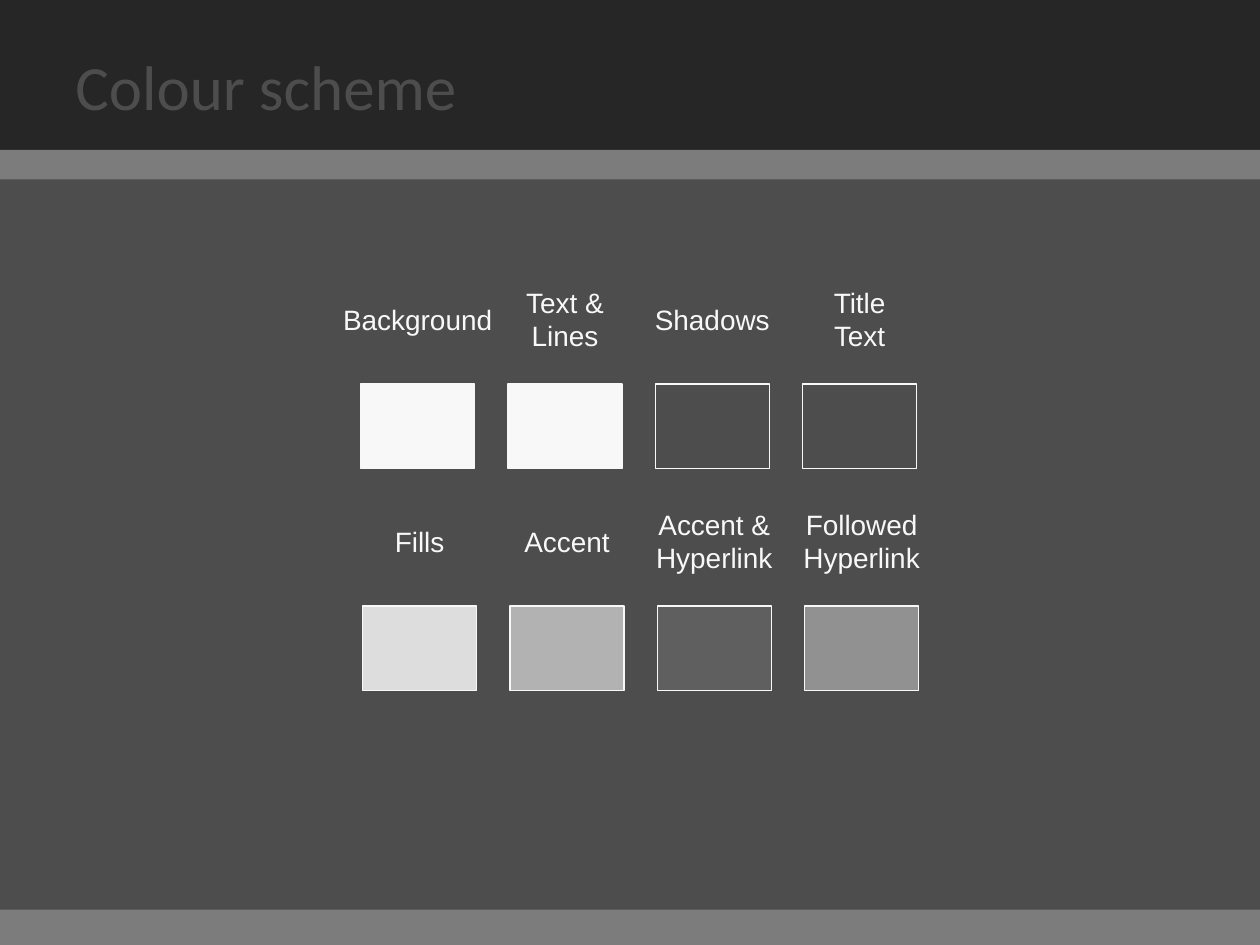
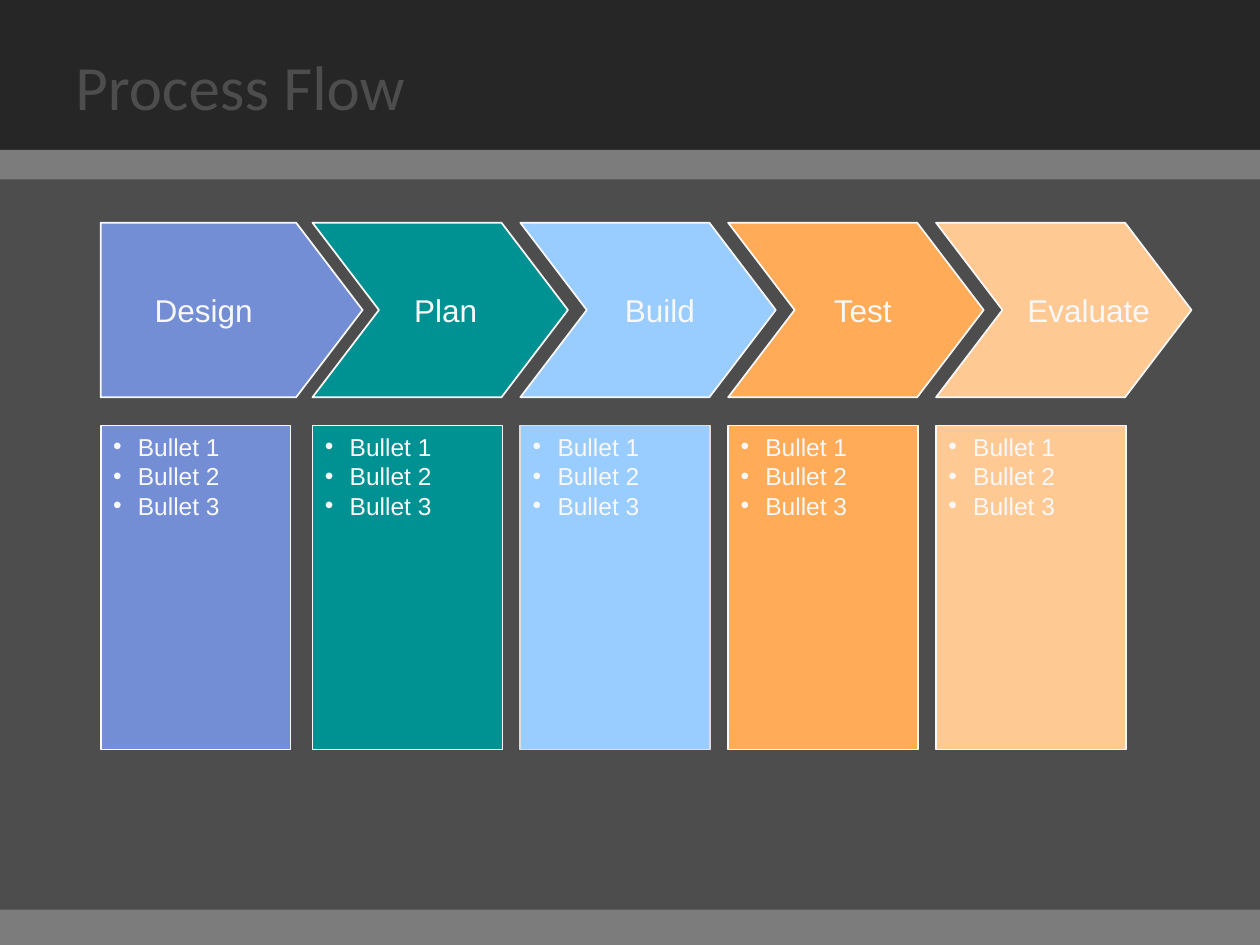
from lxml.etree import SubElement
from pptx import Presentation
from pptx.dml.color import RGBColor
from pptx.enum.shapes import MSO_SHAPE as Shape
from pptx.enum.text import MSO_ANCHOR as Anchor, MSO_AUTO_SIZE as AutoSize, PP_ALIGN as Align
from pptx.oxml.ns import qn
from pptx.util import Cm, Pt

# Shared colours
BACKGROUND = RGBColor(0x4D, 0x4D, 0x4D)
HEADER = RGBColor(0x26, 0x26, 0x26)
BAND = RGBColor(0x7C, 0x7C, 0x7C)
LIGHT = RGBColor(0xF8, 0xF8, 0xF8)
SILVER = RGBColor(0xDD, 0xDD, 0xDD)
GREY = RGBColor(0xB2, 0xB2, 0xB2)
DARK_GREY = RGBColor(0x5F, 0x5F, 0x5F)
MID_GREY = RGBColor(0x91, 0x91, 0x91)
PERIWINKLE = RGBColor(0x74, 0x8E, 0xD6)
TEAL = RGBColor(0x00, 0x91, 0x93)
SKY = RGBColor(0x99, 0xCC, 0xFF)
ORANGE = RGBColor(0xFF, 0xAB, 0x57)
PEACH = RGBColor(0xFF, 0xC9, 0x93)


def style_shape(shape, fill, line=None, width=1.0):
    shape.shadow.inherit = False
    shape.fill.solid()
    shape.fill.fore_color.rgb = fill
    if line is None:
        shape.line.fill.background()
    else:
        shape.line.color.rgb = line
        shape.line.width = Pt(width)


def write_lines(shape, lines, size, align=Align.LEFT, font="Arial", color=LIGHT):
    """Write one paragraph per line; a newline inside one is a line break."""
    frame = shape.text_frame
    for number, line in enumerate(lines):
        paragraph = frame.add_paragraph() if number else frame.paragraphs[0]
        paragraph.alignment = align
        for part_number, part in enumerate(line.split("\n")):
            if part_number:
                paragraph.add_line_break()
            run = paragraph.add_run()
            run.text = part
            run.font.size = Pt(size)
            run.font.name = font
            run.font.color.rgb = color


presentation = Presentation()
presentation.slide_width = Cm(25.4)
presentation.slide_height = Cm(19.05)

# Both slides: background, bands and title
slides = []
for title in ("Colour scheme", "Process Flow"):
    slide = presentation.slides.add_slide(presentation.slide_layouts[6])
    slide.background.fill.solid()
    slide.background.fill.fore_color.rgb = BACKGROUND
    for top, height, color in ((0, 3.33, HEADER), (3.02, 0.6, BAND), (18.34, 0.71, BAND)):
        band = slide.shapes.add_shape(Shape.RECTANGLE, 0, Cm(top), Cm(25.4), Cm(height))
        style_shape(band, color)
    title_box = slide.shapes.add_textbox(Cm(1.27), Cm(0.73), Cm(23.04), Cm(2))
    title_box.text_frame.word_wrap = True
    title_box.text_frame.vertical_anchor = Anchor.MIDDLE
    write_lines(title_box, [title], 36, font="Calibri", color=BACKGROUND)
    slides.append(slide)
colour_slide, process_slide = slides

# Colour scheme: two rows of swatches, each label centred above its swatch
SWATCH_WIDTH, SWATCH_HEIGHT, SWATCH_STEP = 2.3, 1.7, 2.97
LABEL_RISE = 1.3
swatch_rows = [
    (7.27, 7.74, [
        (["Background"], 3.6, LIGHT),
        (["Text &", "Lines"], 2.2, LIGHT),
        (["Shadows"], 2.9, BACKGROUND),
        (["Title\nText"], 1.7, BACKGROUND),
    ]),
    (7.31, 12.22, [
        (["Fills"], 1.6, SILVER),
        (["Accent"], 2.3, GREY),
        (["Accent &", "Hyperlink"], 3, DARK_GREY),
        (["Followed", "Hyperlink"], 3, MID_GREY),
    ]),
]
for row_left, top, swatches in swatch_rows:
    for column, (lines, label_width, color) in enumerate(swatches):
        left = row_left + column * SWATCH_STEP
        swatch = colour_slide.shapes.add_shape(
            Shape.RECTANGLE, Cm(left), Cm(top), Cm(SWATCH_WIDTH), Cm(SWATCH_HEIGHT))
        style_shape(swatch, color, LIGHT, 0.75)

        line_count = "\n".join(lines).count("\n") + 1
        label_height = 0.25 + 0.69 * line_count
        label = colour_slide.shapes.add_textbox(
            Cm(left + (SWATCH_WIDTH - label_width) / 2),
            Cm(top - LABEL_RISE - label_height / 2), Cm(label_width), Cm(label_height))
        label.text_frame.word_wrap = False
        label.text_frame.auto_size = AutoSize.SHAPE_TO_FIT_TEXT
        write_lines(label, lines, 16, Align.CENTER)

# Process flow: an arrow, its label and a bullet box for each step
ARROW_TOP, ARROW_HEIGHT, ARROW_POINT = 4.49, 3.52, 1.34
steps = [
    ("Design", 2.03, 2.87, 2.49, PERIWINKLE, LIGHT),
    ("Plan", 6.3, 8.1, 1.78, TEAL, LIGHT),
    ("Build", 10.49, 12.35, 1.93, SKY, SILVER),
    ("Test", 14.68, 16.56, 1.75, ORANGE, LIGHT),
    ("Evaluate", 18.87, 20.46, 3.1, PEACH, LIGHT),
]
for number, (name, left, label_left, label_width, color, box_line) in enumerate(steps):
    # The first arrow has a flat back and a slightly longer body
    body = 3.81 if number else 3.94
    outline = [(0, 0), (body, 0), (body + ARROW_POINT, ARROW_HEIGHT / 2),
               (body, ARROW_HEIGHT), (0, ARROW_HEIGHT)]
    if number:
        outline.append((ARROW_POINT, ARROW_HEIGHT / 2))
    points = [(Cm(left + x), Cm(ARROW_TOP + y)) for x, y in outline]
    builder = process_slide.shapes.build_freeform(*points[0])
    builder.add_line_segments(points[1:], close=True)
    style_shape(builder.convert_to_shape(), color, LIGHT)

    label = process_slide.shapes.add_textbox(
        Cm(label_left), Cm(5.74), Cm(label_width), Cm(1.02))
    label.text_frame.word_wrap = False
    label.text_frame.auto_size = AutoSize.SHAPE_TO_FIT_TEXT
    write_lines(label, [name], 18)

    box = process_slide.shapes.add_shape(
        Shape.RECTANGLE, Cm(left), Cm(8.58), Cm(3.83), Cm(6.53))
    style_shape(box, color, box_line)
    box.text_frame.vertical_anchor = Anchor.TOP
    write_lines(box, ["Bullet 1", "Bullet 2", "Bullet 3"], 14)
    for paragraph in box.text_frame.paragraphs:
        properties = paragraph._p.get_or_add_pPr()
        properties.set("marL", str(Cm(0.5)))
        properties.set("indent", str(-Cm(0.5)))
        SubElement(properties, qn("a:buFont"), typeface="Arial")
        SubElement(properties, qn("a:buChar"), char="•")

presentation.save("out.pptx")
